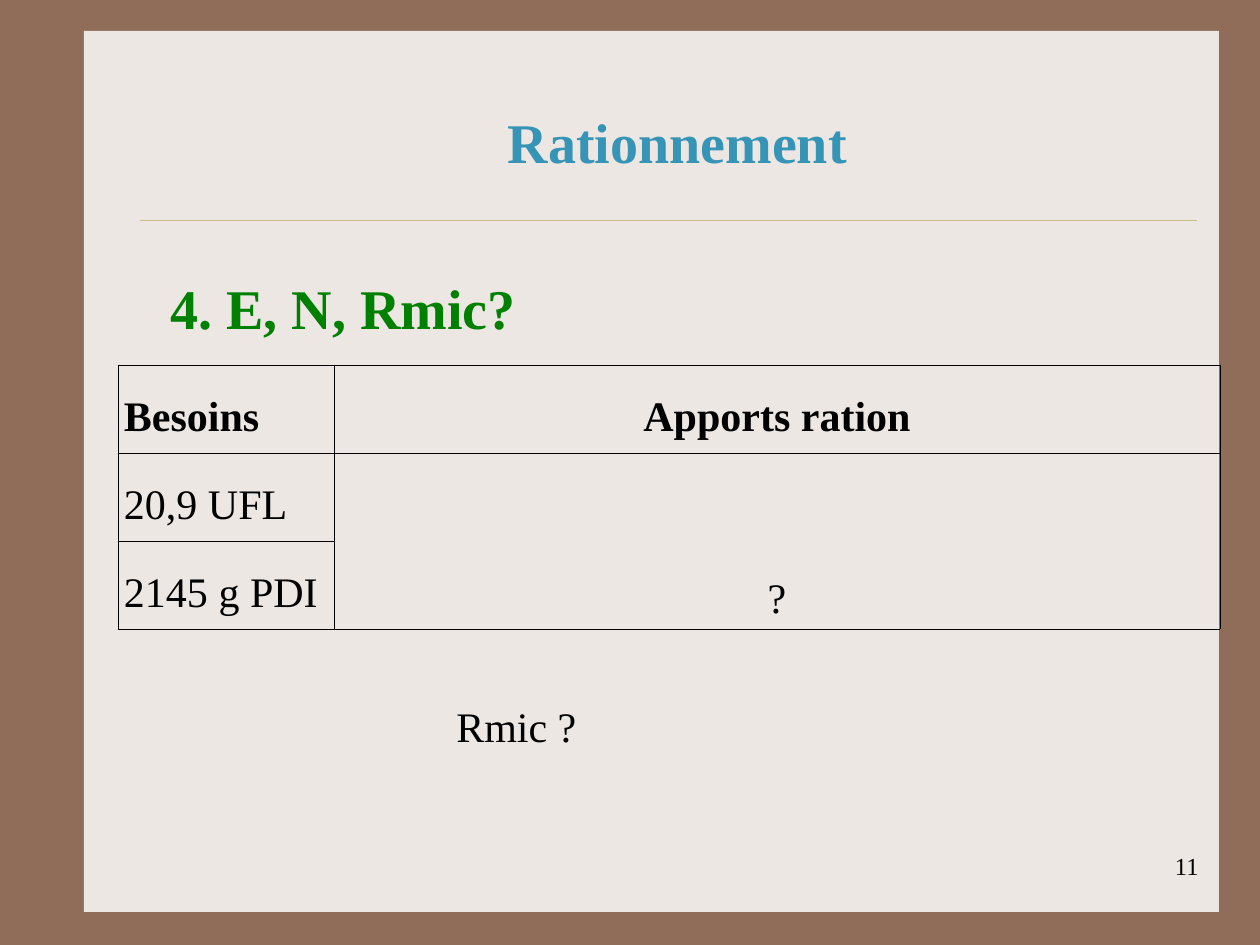
from dataclasses import dataclass

from lxml import etree
from pptx import Presentation
from pptx import util as u
from pptx.dml.color import RGBColor
from pptx.enum import shapes, text
from pptx.oxml.ns import qn


@dataclass(frozen=True)
class Theme:
    font: str = "Times New Roman"
    frame: str = "906D58"
    panel: str = "EDE7E3"
    rule: str = "CBBD83"
    title: str = "3694B6"
    heading: str = "008000"
    ink: str = "000000"
    large: int = 32
    body: int = 24
    small: int = 14


THEME = Theme()
PX_PER_INCH = 126
ALIGN = text.PP_ALIGN
BORDER_PT = 0.45


def px(count):
    return u.Emu(round(count * u.Inches(1) / PX_PER_INCH))


def rgb(value):
    return RGBColor.from_string(value)


def place(shape, left, top, width, height):
    shape.left, shape.top = px(left), px(top)
    shape.width, shape.height = px(width), px(height)


def write(frame, words, size, color=THEME.ink, bold=False, align=ALIGN.LEFT, spacing=1.1):
    frame.word_wrap = True
    para = frame.paragraphs[0]
    para.text = words
    para.alignment = align
    para.line_spacing = spacing
    para.space_before = u.Pt(0)
    font = para.font
    font.name, font.size, font.bold = THEME.font, u.Pt(size), bold
    font.color.rgb = rgb(color)


def add_panel(page):
    panel = page.shapes.add_shape(
        shapes.MSO_SHAPE.RECTANGLE, px(84), px(31), px(1135), px(881))
    panel.shadow.inherit = False
    panel.fill.solid()
    panel.fill.fore_color.rgb = rgb(THEME.panel)
    panel.line.fill.background()


def add_rule(page):
    rule = page.shapes.add_connector(
        shapes.MSO_CONNECTOR.STRAIGHT, px(140), px(220), px(1197), px(220))
    rule.line.color.rgb = rgb(THEME.rule)
    rule.line.width = u.Pt(0.25)
    etree.SubElement(rule.element.spPr, qn("a:effectLst"))


def set_title(page, words):
    title = page.shapes.title
    place(title, 158, 95, 1039, 81)
    title.text_frame.vertical_anchor = text.MSO_ANCHOR.TOP
    title.text_frame.auto_size = text.MSO_AUTO_SIZE.NONE
    write(title.text_frame, words, THEME.large, THEME.title, True, ALIGN.CENTER)


def add_text(page, area, words, size, **style):
    box = page.shapes.add_textbox(0, 0, 0, 0)
    place(box, *area)
    write(box.text_frame, words, size, **style)


def outline(cell):
    properties = cell._tc.get_or_add_tcPr()
    for index, side in enumerate(("lnL", "lnR", "lnT", "lnB")):
        line = etree.Element(qn(f"a:{side}"), w=str(u.Pt(BORDER_PT)))
        fill = etree.SubElement(line, qn("a:solidFill"))
        etree.SubElement(fill, qn("a:srgbClr"), val=THEME.ink)
        properties.insert(index, line)


def add_needs_table(page):
    widths, row_height = (216, 886), 88
    rows = (("Besoins", "Apports ration"), ("20,9 UFL", "?"), ("2145 g PDI", None))
    table = page.shapes.add_table(
        len(rows), len(widths), px(118), px(365),
        px(sum(widths)), px(row_height * len(rows))).table
    table.first_row = table.horz_banding = False
    for column, width in zip(table.columns, widths):
        column.width = px(width)
    for r, values in enumerate(rows):
        table.rows[r].height = px(row_height)
        for c, words in enumerate(values):
            cell = table.cell(r, c)
            cell.fill.background()
            outline(cell)
            cell.margin_left = cell.margin_right = px(6)
            cell.margin_top = cell.margin_bottom = px(6)
            if words:
                write(cell.text_frame, words, THEME.body, bold=r == 0,
                      align=ALIGN.CENTER if c else ALIGN.JUSTIFY,
                      spacing=3.0 if words == "?" else 1.5)
    supply = table.cell(1, 1)
    supply.merge(table.cell(2, 1))
    supply.vertical_anchor = text.MSO_ANCHOR.BOTTOM


def main():
    deck = Presentation()
    deck.slide_width, deck.slide_height = px(1260), px(945)
    page = deck.slides.add_slide(deck.slide_layouts[5])
    page.background.fill.solid()
    page.background.fill.fore_color.rgb = rgb(THEME.frame)
    add_panel(page)
    add_rule(page)
    # The title comes after the panel so that it stays in front of it.
    page.shapes._spTree.append(page.shapes.title.element)
    set_title(page, "Rationnement")
    add_text(page, (158, 261, 1039, 81), "4. E, N, Rmic?", THEME.large,
             color=THEME.heading, bold=True)
    add_needs_table(page)
    add_text(page, (444, 689, 305, 63), "Rmic ?", THEME.body)
    add_text(page, (949, 842, 262, 63), "11", THEME.small, align=ALIGN.RIGHT)
    deck.save("out.pptx")


if __name__ == "__main__":
    main()
